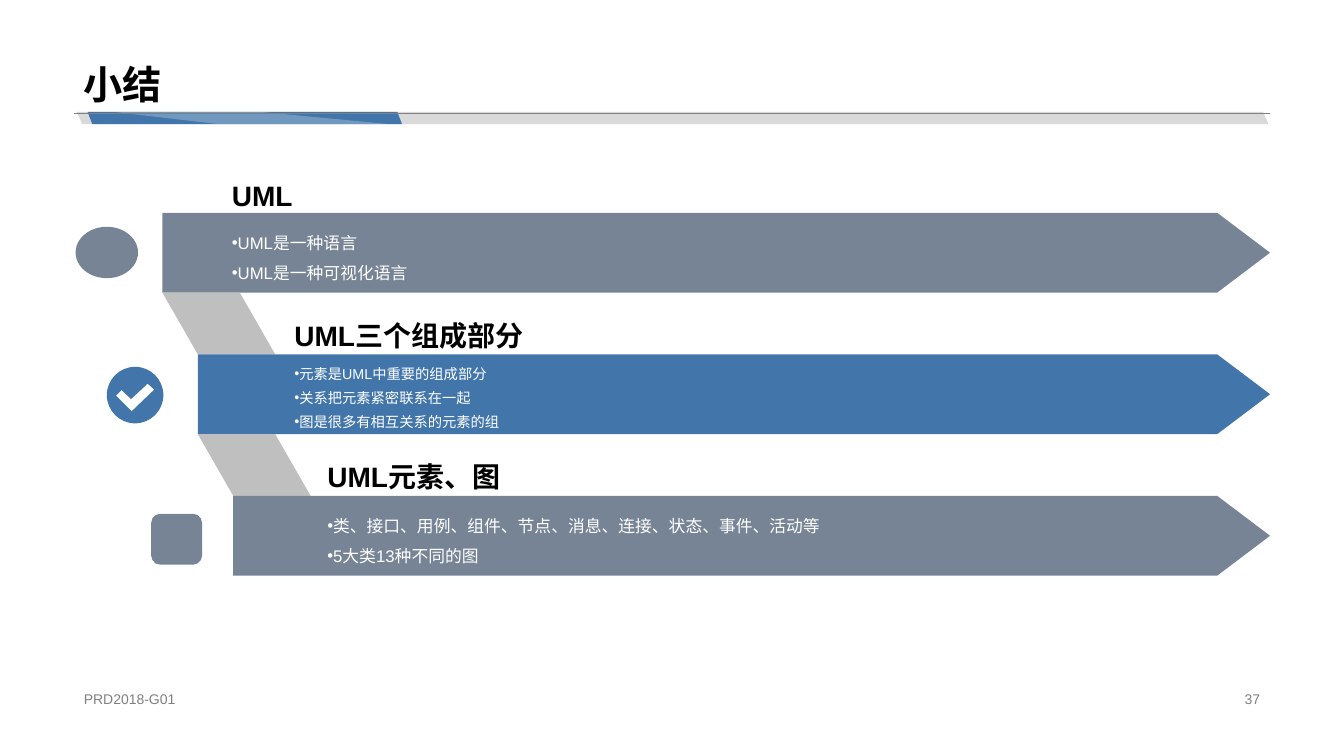
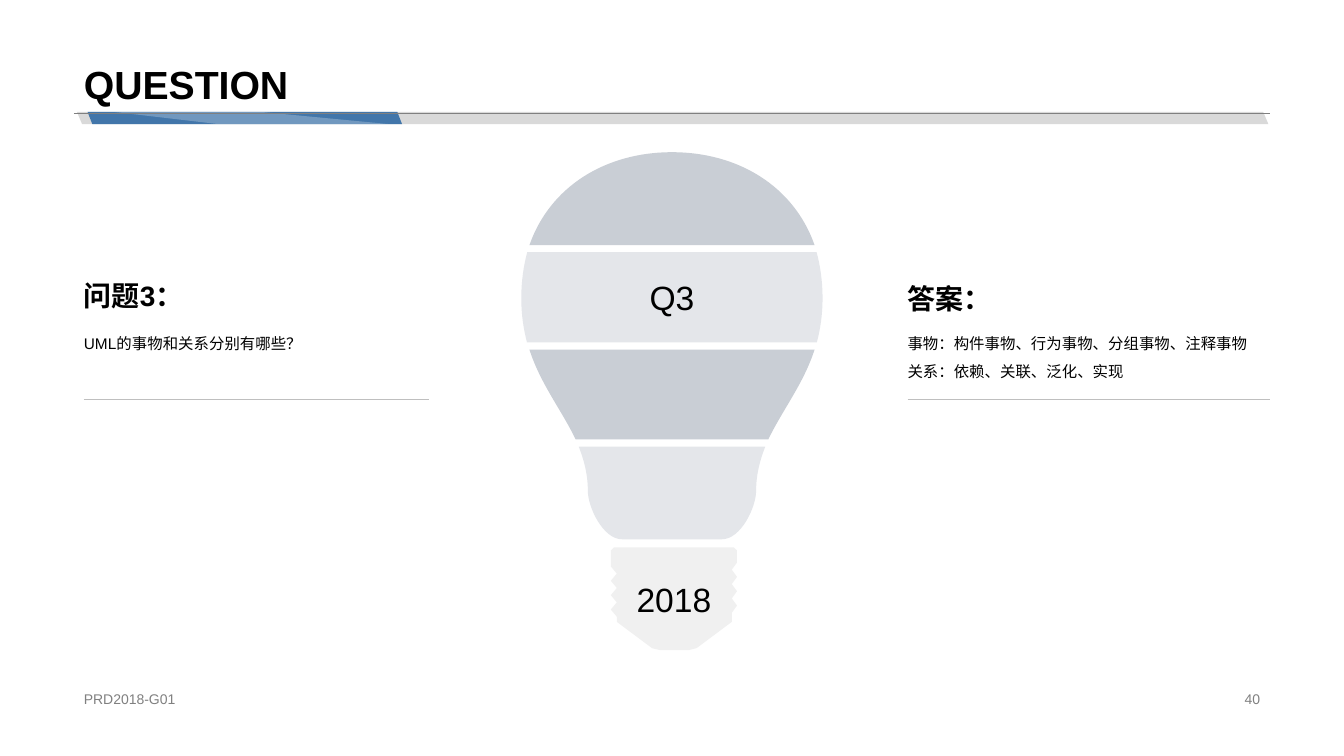
from pptx import Presentation
from pptx.dml.color import RGBColor
from pptx.enum.lang import MSO_LANGUAGE_ID
from pptx.enum.shapes import MSO_CONNECTOR, MSO_SHAPE
from pptx.enum.text import MSO_ANCHOR, PP_ALIGN
from pptx.oxml.ns import qn
from pptx.util import Pt
from lxml import etree

FONT = "Arial"
COLORS = {
    "text": "000000", "white": "FFFFFF", "grey": "808080", "rule": "BFBFBF",
    "band": "D9D9D9", "blue": "4276AA", "slate": "778495",
    "bulb_dark": "C9CED5", "bulb_light": "E4E6EA", "bulb_base": "F0F0F0",
}
LEFT, RIGHT = 52.8, 907.2
BULB_X = 480


def rgb(name):
    return RGBColor.from_string(COLORS[name])


def paint(sp, color, alpha=None):
    """Plain fill without line or shadow; alpha is a percentage."""
    sp.shadow.inherit = False
    sp.fill.solid()
    sp.fill.fore_color.rgb = rgb(color)
    sp.line.fill.background()
    if alpha is not None:
        clr = sp.element.spPr.find(qn("a:solidFill"))[0]
        etree.SubElement(clr, qn("a:alpha"), val=str(alpha * 1000))
    return sp


def add_preset(s, kind, x, y, w, h, color, adj=None, flip=False):
    sp = s.shapes.add_shape(kind, Pt(x), Pt(y), Pt(w), Pt(h))
    if adj is not None:
        sp.adjustments[0] = adj
    if flip:
        sp.element.spPr.find(qn("a:xfrm")).set("flipH", "1")
    return paint(sp, color)


def add_outline(s, points, color, alpha=None, curves=(), hole=()):
    """Closed outline; each index in curves joins three segments into one cubic."""
    pts = [(Pt(x), Pt(y)) for x, y in points]
    fb = s.shapes.build_freeform(*pts[0], scale=1.0)
    fb.add_line_segments(pts[1:], close=True)
    if hole:
        inner = [(Pt(x), Pt(y)) for x, y in hole]
        fb.move_to(*inner[0])
        fb.add_line_segments(inner[1:], close=True)
    sp = fb.convert_to_shape()
    segments = list(sp.element.iter(qn("a:lnTo")))
    for i in curves:
        cubic = etree.Element(qn("a:cubicBezTo"))
        segments[i].addprevious(cubic)
        for segment in segments[i:i + 3]:
            cubic.append(segment[0])
            segment.getparent().remove(segment)
    return paint(sp, color, alpha)


def add_rule(s, x1, x2, y, color):
    line = s.shapes.add_connector(MSO_CONNECTOR.STRAIGHT, Pt(x1), Pt(y), Pt(x2), Pt(y))
    line.line.color.rgb = rgb(color)
    line.line.width = Pt(0.25)
    etree.SubElement(line.element.spPr, qn("a:effectLst"))


def set_text(sp, lines, size, color="text", bold=False, align=PP_ALIGN.LEFT,
             anchor=MSO_ANCHOR.MIDDLE, spacing=None, bullet=False):
    tf = sp.text_frame
    tf.word_wrap = True
    tf.vertical_anchor = anchor
    for i, line in enumerate(lines):
        p = tf.add_paragraph() if i else tf.paragraphs[0]
        p.alignment = align
        if spacing:
            p.line_spacing = spacing
        if bullet:
            pPr = p._p.get_or_add_pPr()
            pPr.set("marL", "0")
            pPr.set("indent", str(-Pt(13.5)))
            etree.SubElement(pPr, qn("a:buFont"), typeface=FONT)
            etree.SubElement(pPr, qn("a:buChar"), char="•")
        r = p.add_run()
        r.text = line
        r.font.name = FONT
        r.font.size = Pt(size)
        r.font.bold = bold
        r.font.color.rgb = rgb(color)
        r.font.language_id = MSO_LANGUAGE_ID.SIMPLIFIED_CHINESE


def add_text(s, x, y, w, h, lines, size, **style):
    sp = s.shapes.add_textbox(Pt(x), Pt(y), Pt(w), Pt(h))
    set_text(sp, lines, size, **style)


def add_slide(prs, title, number):
    """Blank slide with the shared title band and footer."""
    s = prs.slides.add_slide(prs.slide_layouts[6])
    top, h = 80, 8.6
    add_preset(s, MSO_SHAPE.PARALLELOGRAM, 55, top, 851, h, "band", 0.424, True)
    add_preset(s, MSO_SHAPE.PARALLELOGRAM, 62.6, top, 224.6, h, "blue", 0.388, True)
    add_outline(s, [(277.2, top + h), (187.2, top), (82, top), (155.5, top + h)],
                "white", 25)
    add_rule(s, LEFT, RIGHT, 80.9, "grey")
    add_text(s, LEFT, 0, RIGHT - LEFT, 80.6, [title], 28, bold=True,
             anchor=MSO_ANCHOR.BOTTOM, spacing=0.9)
    add_text(s, LEFT, 491, 326, 16.6, ["PRD2018-G01"], 10, color="grey")
    add_text(s, RIGHT - 229, 491, 229, 16.6, [str(number)], 10, color="grey",
             align=PP_ALIGN.RIGHT)
    return s


def add_bulb_part(s, half, color):
    """Symmetric slice; half holds the cubic points right of the bulb's axis."""
    right = [(BULB_X + x, y) for x, y in half]
    left = [(BULB_X - x, y) for x, y in reversed(half)]
    n = len(half)
    curves = [*range(0, n - 1, 3), *range(n, 2 * n - 1, 3)]
    return add_outline(s, right + left, color, curves=curves)


def add_bulb_base(s):
    def thread(outer, inner, top):
        return [(inner if i % 2 else outer, top + 5.13 * i) for i in range(8)]

    right = thread(526.4, 522.7, 401.8)
    left = thread(436.3, 440.6, 404.6)
    points = [(438.5, 391), (524.2, 391), (526.4, 393.2), *right, (522.7, 444.2),
              (497.5, 463), (491.8, 464.4), (471.6, 464.4), (465.8, 463),
              (440.6, 444.2), *reversed(left), (436.3, 393.2)]
    return add_outline(s, points, "bulb_base")


def add_summary_rows(s):
    rows = [
        ("UML", 158.5, "slate", 12, 1.5, ["UML是一种语言", "UML是一种可视化语言"]),
        ("UML三个组成部分", 203.2, "blue", 10.2, 1.4,
         ["元素是UML中重要的组成部分", "关系把元素紧密联系在一起",
          "图是很多有相互关系的元素的组"]),
        ("UML元素、图", 226.7, "slate", 12, 1.5,
         ["类、接口、用例、组件、节点、消息、连接、状态、事件、活动等",
          "5大类13种不同的图"]),
    ]
    height, pitch, shift = 57, 101.1, 25.3
    gap = pitch - height
    for i, (heading, text_x, color, size, spacing, lines) in enumerate(rows):
        x, y = 116 + shift * i, 152 + pitch * i
        add_preset(s, MSO_SHAPE.PENTAGON, x, y, RIGHT - x, height, color, 0.662)
        if i < len(rows) - 1:
            add_preset(s, MSO_SHAPE.PARALLELOGRAM, x, y + height, 80.6, gap, "rule",
                       shift / gap, True)
        add_text(s, text_x, y, 866 - text_x, height, lines, size, color="white",
                 spacing=spacing, bullet=True)
        add_text(s, text_x, 124.6 + 100.4 * i, 240, 29.5, [heading], 20, bold=True)


def add_check_icon(s, cx, cy, radius):
    """Disc with a check mark cut out of it."""
    k = 0.55
    disc = [(cx + radius, cy)]
    for c, d in [(1, 0), (0, 1), (-1, 0), (0, -1)]:
        disc += [(cx + radius * (c * u - d * v), cy + radius * (d * u + c * v))
                 for u, v in [(1, k), (k, 1), (0, 1)]]
    check = [(-13.7, 0.4), (-9.7, -3.6), (-2.9, 2.9), (9, -8.2), (13.7, -3.9),
             (-2.5, 11.6)]
    add_outline(s, disc, "blue", curves=range(0, 12, 3),
                hole=[(cx + x, cy + y) for x, y in check])


def add_row_icons(s):
    add_preset(s, MSO_SHAPE.OVAL, 54, 162, 44.6, 36.7, "slate")
    add_check_icon(s, 96.5, 282.2, 20.2)
    add_preset(s, MSO_SHAPE.ROUNDED_RECTANGLE, 108, 367, 36.4, 36.4, "slate", 0.18)


def add_bulb(s):
    set_text(add_bulb_base(s), ["2018"], 24, align=PP_ALIGN.CENTER)
    add_bulb_part(s, [(0, 108.7), (47.5, 108.7), (87.1, 133.2), (101.8, 175)],
                  "bulb_dark")
    label = add_bulb_part(s, [(103.3, 180), (106, 190), (107.6, 201), (107.6, 213),
                              (107.6, 225), (106, 235), (103.5, 244.6)], "bulb_light")
    set_text(label, ["Q3"], 24, align=PP_ALIGN.CENTER)
    add_bulb_part(s, [(66.6, 319), (63, 328.3), (60.1, 338.4), (60.1, 350.6),
                      (60.1, 362.2), (49.3, 385.2), (35.6, 385.2)], "bulb_light")
    add_bulb_part(s, [(101.8, 249.8), (93.9, 274.3), (78.8, 293), (68.8, 313.9)],
                  "bulb_dark")


def add_note(s, x, w, heading_y, heading, lines):
    """Heading, body lines and a closing rule."""
    add_text(s, x, 228.4, w, 54, lines, 11, anchor=MSO_ANCHOR.TOP, spacing=1.5)
    add_text(s, x, heading_y, w, 38.9, [heading], 20, bold=True,
             anchor=MSO_ANCHOR.BOTTOM)
    add_rule(s, x + 7.2, x + w, 285.1, "rule")


def main():
    prs = Presentation()
    prs.slide_width, prs.slide_height = Pt(960), Pt(540)

    s = add_slide(prs, "小结", 37)
    add_summary_rows(s)
    add_row_icons(s)

    s = add_slide(prs, "QUESTION", 40)
    answer_x = 641.2
    add_note(s, answer_x, RIGHT - answer_x, 190, "答案：",
             ["事物：构件事物、行为事物、分组事物、注释事物", "关系：依赖、关联、泛化、实现"])
    add_bulb(s)
    add_note(s, LEFT, 253.9, 187.4, "问题3：", ["UML的事物和关系分别有哪些？"])

    prs.save("out.pptx")


if __name__ == "__main__":
    main()
